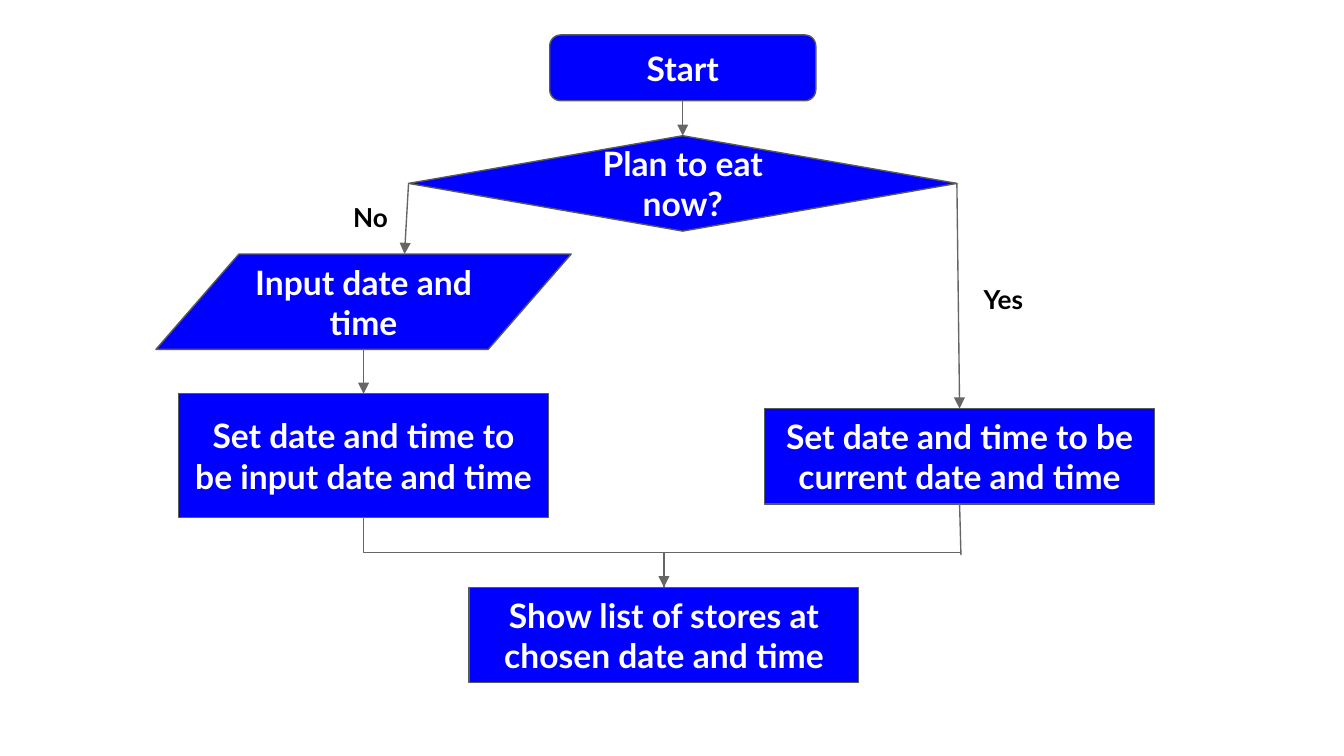
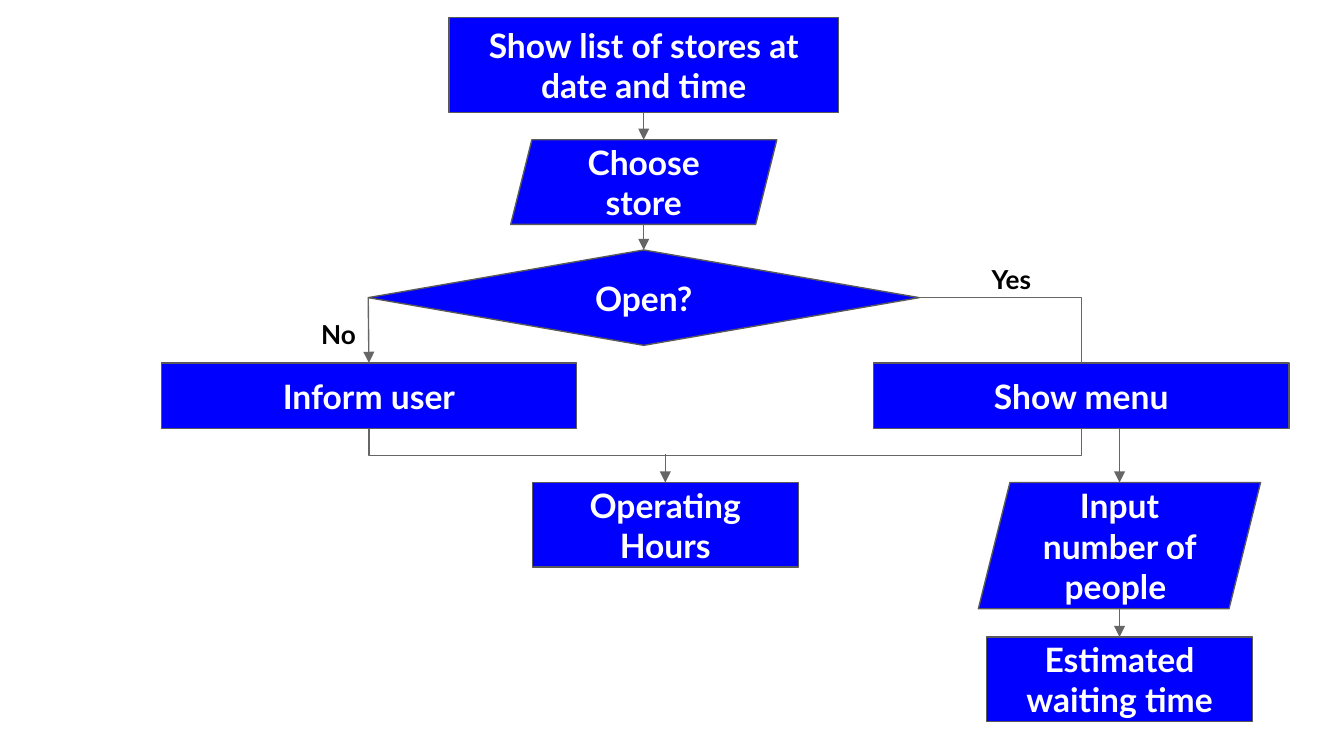
from dataclasses import dataclass
from typing import Dict, List, NamedTuple, Tuple, Union

from lxml import etree
from pptx import Presentation
from pptx import util as u
from pptx.dml.color import RGBColor
from pptx.enum import shapes, text
from pptx.oxml.ns import qn

COLORS = {"fill": "0000FF", "edge": "595959", "wire": "666666",
          "light": "FFFFFF", "dark": "000000"}
FONT = "Lato"
WIDTH = 10
HEIGHT = WIDTH * 9 / 16
KINDS = shapes.MSO_SHAPE
RECT = KINDS.RECTANGLE
TOP, LEFT, BOTTOM, RIGHT = range(4)


class Point(NamedTuple):
    x: float
    y: float


class Joint(NamedTuple):
    box: str
    side: int


End = Union[Point, Joint]


@dataclass
class Box:
    key: str
    words: str
    x: float
    y: float
    w: float
    h: float
    kind: int = RECT

    def side(self, side: int) -> Point:
        mid, half = self.x + self.w / 2, self.y + self.h / 2
        return [Point(mid, self.y), Point(self.x, half),
                Point(mid, self.y + self.h), Point(self.x + self.w, half)][side]


@dataclass
class Label:
    words: str
    x: float
    y: float
    w: float
    h: float


@dataclass
class Wire:
    start: End
    stop: End
    arrow: bool = True


@dataclass
class Elbow:
    start: Joint
    stop: Joint


@dataclass
class Chart:
    boxes: List[Box]
    labels: List[Label]
    wires: List[Wire]
    elbows: List[Elbow]


def rgb(name: str) -> RGBColor:
    return RGBColor.from_string(COLORS[name])


def write(shape, words: str, size: int, color: str) -> None:
    frame = shape.text_frame
    frame.text = words
    frame.word_wrap = True
    frame.margin_left = frame.margin_right = u.Inches(0.1)
    frame.margin_top = frame.margin_bottom = u.Inches(0.1)
    font = frame.paragraphs[0].runs[0].font
    font.name, font.size, font.bold = FONT, u.Pt(size), True
    font.color.rgb = rgb(color)


def place(item: Union[Box, Label]) -> Tuple[int, ...]:
    return tuple(u.Inches(v) for v in (item.x, item.y, item.w, item.h))


def draw_box(slide, box: Box):
    shape = slide.shapes.add_shape(box.kind, *place(box))
    shape.shadow.inherit = False
    shape.fill.solid()
    shape.fill.fore_color.rgb = rgb("fill")
    shape.line.color.rgb = rgb("edge")
    shape.line.width = u.Pt(0.75)
    write(shape, box.words, 18, "light")
    shape.text_frame.vertical_anchor = text.MSO_ANCHOR.MIDDLE
    shape.text_frame.paragraphs[0].alignment = text.PP_ALIGN.CENTER
    return shape


def draw_label(slide, label: Label) -> None:
    write(slide.shapes.add_textbox(*place(label)), label.words, 14, "dark")


def link(slide, kind: int, start: Point, stop: Point, arrow: bool = False):
    line = slide.shapes.add_connector(
        kind, *(u.Inches(v) for v in (*start, *stop)))
    line.line.color.rgb = rgb("wire")
    line.line.width = u.Pt(0.75)
    if arrow:
        edge = line._element.spPr.find(qn("a:ln"))
        etree.SubElement(edge, qn("a:tailEnd")).set("type", "triangle")
    etree.SubElement(line._element.spPr, qn("a:effectLst"))
    return line


def spot(end: End, boxes: Dict[str, Box]) -> Point:
    return boxes[end.box].side(end.side) if isinstance(end, Joint) else end


def draw_wire(slide, wire: Wire, boxes: Dict[str, Box], drawn: dict) -> None:
    line = link(slide, shapes.MSO_CONNECTOR.STRAIGHT,
                spot(wire.start, boxes), spot(wire.stop, boxes), wire.arrow)
    slanted = (KINDS.PARALLELOGRAM, KINDS.FLOWCHART_DATA)
    for end, join in ((wire.start, line.begin_connect),
                      (wire.stop, line.end_connect)):
        if isinstance(end, Joint) and boxes[end.box].kind not in slanted:
            join(drawn[end.box], end.side)


def draw_elbow(slide, elbow: Elbow, boxes: Dict[str, Box]) -> None:
    a, b = spot(elbow.start, boxes), spot(elbow.stop, boxes)
    kind = shapes.MSO_CONNECTOR.ELBOW
    if elbow.start.side == RIGHT:
        line = link(slide, kind, a, b)
        line._element.spPr.find(qn("a:prstGeom")).set("prst", "bentConnector2")
        return
    mid = Point((a.x + b.x) / 2, (a.y + b.y) / 2)
    turn = 270 if b.x > a.x else 90
    dx = (b.y - a.y) / 2 * (1 if turn == 270 else -1)
    dy = abs(b.x - a.x) / 2
    line = link(slide, kind, Point(mid.x + dx, mid.y - dy),
                Point(mid.x - dx, mid.y + dy))
    line._element.spPr.find(qn("a:xfrm")).set("rot", str(turn * 60000))


def draw(deck, chart: Chart) -> None:
    slide = deck.slides.add_slide(deck.slide_layouts[6])
    boxes = {box.key: box for box in chart.boxes}
    drawn = {box.key: draw_box(slide, box) for box in chart.boxes}
    for label in chart.labels:
        draw_label(slide, label)
    for wire in chart.wires:
        draw_wire(slide, wire, boxes, drawn)
    for elbow in chart.elbows:
        draw_elbow(slide, elbow, boxes)


PLAN = Chart(
    boxes=[
        Box("start", "Start", 4.09, 0.26, 1.98, 0.49,
            KINDS.FLOWCHART_ALTERNATE_PROCESS),
        Box("now", "Plan to eat now?", 3.04, 1.01, 4.08, 0.71,
            KINDS.FLOWCHART_DECISION),
        Box("input", "Input date and time", 1.16, 1.89, 3.09, 0.71,
            KINDS.FLOWCHART_DATA),
        Box("today", "Set date and time to be current date and time",
            5.69, 3.04, 2.9, 0.71),
        Box("later", "Set date and time to be input date and time",
            1.33, 2.93, 2.75, 0.92),
        Box("list", "Show list of stores at chosen date and time",
            3.49, 4.37, 2.9, 0.71),
    ],
    labels=[Label("No", 2.53, 1.4, 0.49, 0.38),
            Label("Yes", 7.22, 2.01, 0.94, 0.33)],
    wires=[
        Wire(Joint("start", BOTTOM), Joint("now", TOP)),
        Wire(Joint("input", BOTTOM), Joint("later", TOP)),
        Wire(Joint("now", LEFT), Point(3.01, 1.89)),
        Wire(Joint("now", RIGHT), Joint("today", TOP)),
        Wire(Point(4.94, 4.13), Joint("list", TOP)),
        Wire(Point(4.94, 4.11), Point(7.15, 4.11), False),
        Wire(Joint("today", BOTTOM), Point(7.15, 4.13), False),
    ],
    elbows=[Elbow(Joint("later", BOTTOM), Joint("list", TOP))],
)

STORE = Chart(
    boxes=[
        Box("people", "Input number of people ", 7.28, 3.59, 2.1, 0.94,
            KINDS.PARALLELOGRAM),
        Box("wait", "Estimated waiting time", 7.34, 4.74, 1.98, 0.63),
        Box("hours", "Operating Hours", 3.96, 3.59, 1.98, 0.63),
        Box("list", "Show list of stores at date and time",
            3.34, 0.13, 2.9, 0.71),
        Box("choose", "Choose store", 3.8, 1.04, 1.98, 0.63,
            KINDS.PARALLELOGRAM),
        Box("open", "Open?", 2.74, 1.86, 4.1, 0.71, KINDS.FLOWCHART_DECISION),
        Box("inform", "Inform user", 1.2, 2.7, 3.09, 0.49),
        Box("menu", "Show menu", 6.5, 2.7, 3.09, 0.49),
    ],
    labels=[Label("No", 2.29, 2.27, 0.49, 0.38),
            Label("Yes", 7.28, 1.86, 0.94, 0.33)],
    wires=[
        Wire(Joint("list", BOTTOM), Joint("choose", TOP)),
        Wire(Joint("open", LEFT), Joint("inform", TOP)),
        Wire(Joint("choose", BOTTOM), Joint("open", TOP)),
        Wire(Joint("people", BOTTOM), Joint("wait", TOP)),
        Wire(Point(4.95, 3.38), Joint("hours", TOP)),
        Wire(Point(8.33, 3.19), Joint("people", TOP)),
    ],
    elbows=[
        Elbow(Joint("inform", BOTTOM), Joint("hours", TOP)),
        Elbow(Joint("open", RIGHT), Joint("menu", TOP)),
        Elbow(Joint("menu", BOTTOM), Joint("hours", TOP)),
    ],
)


def main() -> None:
    deck = Presentation()
    deck.slide_width, deck.slide_height = u.Inches(WIDTH), u.Inches(HEIGHT)
    for chart in (PLAN, STORE):
        draw(deck, chart)
    deck.save("out.pptx")


if __name__ == "__main__":
    main()
